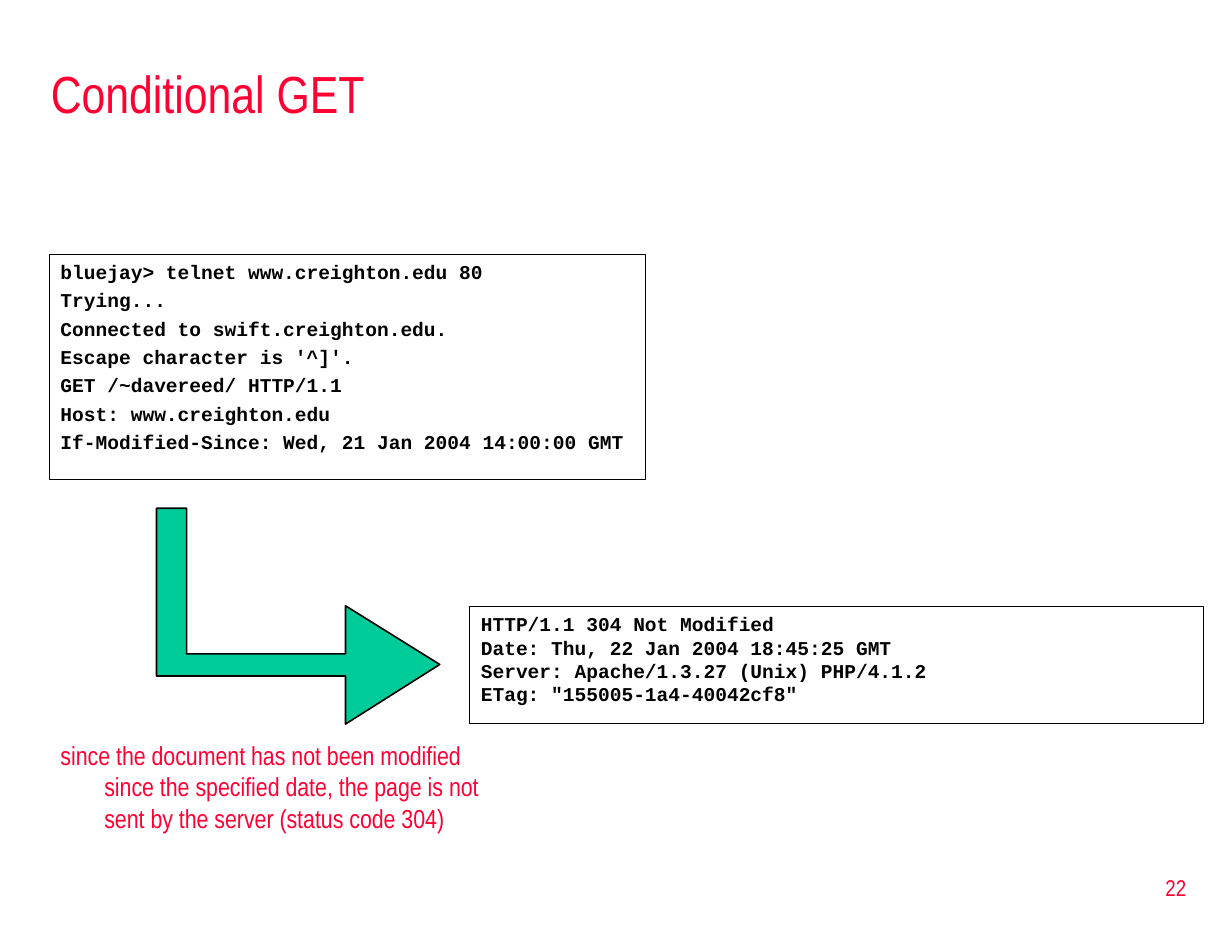
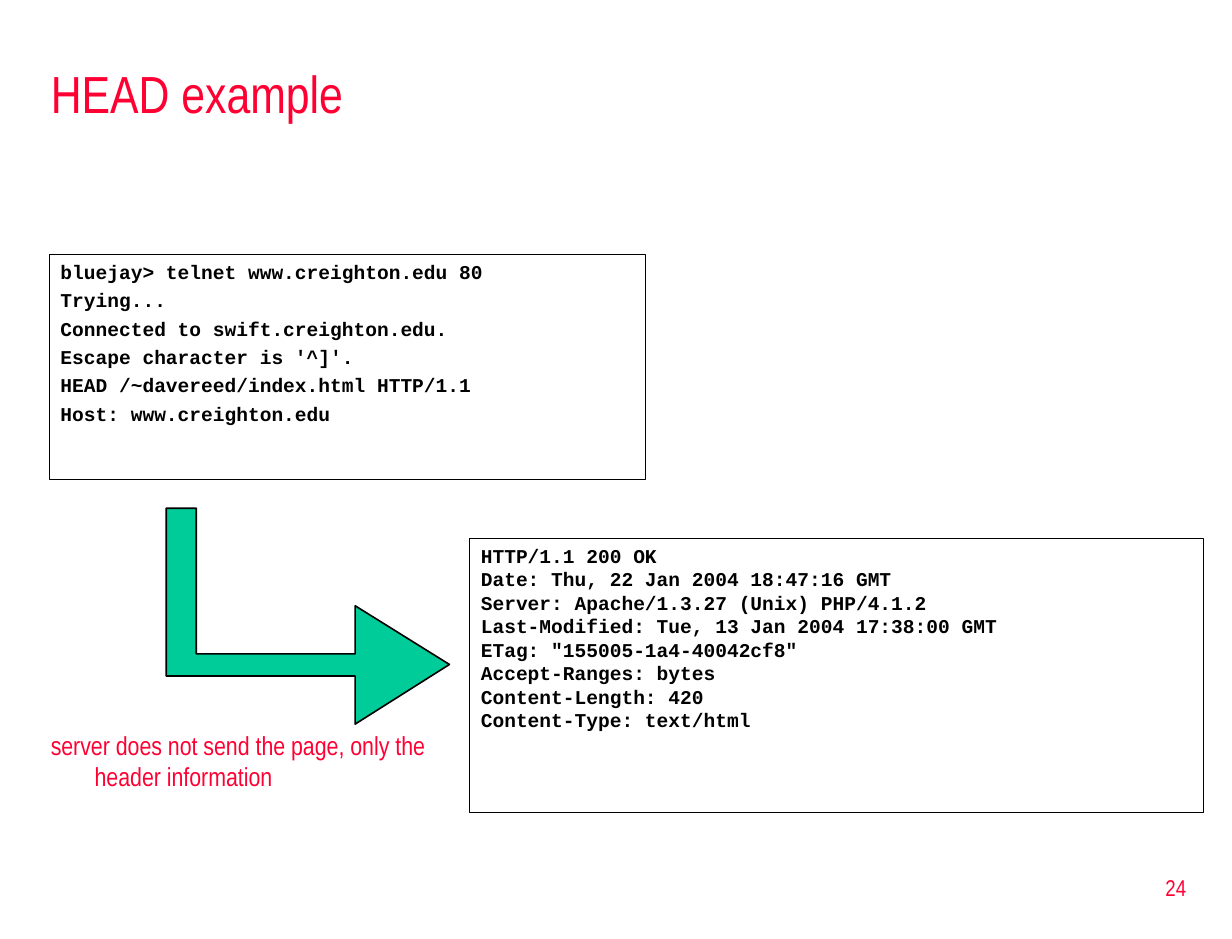
from pptx import Presentation
from pptx.dml.color import RGBColor
from pptx.enum.shapes import MSO_SHAPE as Shape
from pptx.enum.text import MSO_ANCHOR as Anchor, PP_ALIGN as Align
from pptx.util import Cm, Pt

COLORS = {"accent": "FF0033", "code": "000000", "line": "000000", "arrow": "00CC99"}
SANS, MONO = "Arial Narrow", "Courier New"
HANGING = Cm(0.95)
ARROW_TOP = 11
ARROW = [(0, 0), (0.65, 0), (0.65, 3.15), (4.09, 3.15), (4.09, 2.11),
         (6.13, 3.38), (4.09, 4.67), (4.09, 3.63), (0, 3.63)]

CONNECT = ["bluejay> telnet www.creighton.edu 80", "Trying...",
           "Connected to swift.creighton.edu.", "Escape character is '^]'."]
HOST = "Host: www.creighton.edu"
SERVER = "Server: Apache/1.3.27 (Unix) PHP/4.1.2"
ETAG = 'ETag: "155005-1a4-40042cf8"'

EXAMPLES = [
    {
        "title": "Conditional GET",
        "number": 22,
        "request": CONNECT + ["GET /~davereed/ HTTP/1.1", HOST,
                              "If-Modified-Since: Wed, 21 Jan 2004 14:00:00 GMT"],
        "response": ["HTTP/1.1 304 Not Modified",
                     "Date: Thu, 22 Jan 2004 18:45:25 GMT", SERVER, ETAG],
        "response_box": (10.16, 13.12, 15.88, 2.54),
        "arrow_left": 3.39,
        "caption": "since the document has not been modified since the specified date, "
                   "the page is not sent by the server (status code 304)",
        "caption_box": (1.06, 15.88, 10.37, 3.39),
    },
    {
        "title": "HEAD example",
        "number": 24,
        "request": CONNECT + ["HEAD /~davereed/index.html HTTP/1.1", HOST],
        "response": ["HTTP/1.1 200 OK", "Date: Thu, 22 Jan 2004 18:47:16 GMT", SERVER,
                     "Last-Modified: Tue, 13 Jan 2004 17:38:00 GMT", ETAG,
                     "Accept-Ranges: bytes", "Content-Length: 420",
                     "Content-Type: text/html"],
        "response_box": (10.16, 11.64, 15.88, 5.93),
        "arrow_left": 3.6,
        "caption": "server does not send the page, only the header information",
        "caption_box": (0.85, 15.66, 9.32, 1.91),
    },
]


def rgb(name):
    return RGBColor.from_string(COLORS[name])


def outline(s, width):
    s.shadow.inherit = False
    s.line.color.rgb = rgb("line")
    s.line.width = Pt(width)


def write(s, lines, size, font=SANS, color="accent", bold=False, gap=0,
          align=Align.LEFT, anchor=Anchor.TOP, hanging=False):
    tf = s.text_frame
    tf.word_wrap = True
    tf.vertical_anchor = anchor
    for i, line in enumerate(lines):
        p = tf.paragraphs[0] if i == 0 else tf.add_paragraph()
        p.text = line
        p.alignment = align
        p.space_before = Pt(gap if i else 0)
        if hanging:
            pPr = p._p.get_or_add_pPr()
            pPr.set("marL", str(HANGING))
            pPr.set("indent", str(-HANGING))
        p.font.name = font
        p.font.size = Pt(size)
        p.font.bold = bold
        p.font.color.rgb = rgb(color)


def add_text(slide, box, text, size, **style):
    s = slide.shapes.add_textbox(*map(Cm, box))
    write(s, [text], size, **style)


def add_code(slide, box, lines, gap=0):
    s = slide.shapes.add_shape(Shape.RECTANGLE, *map(Cm, box))
    s.fill.background()
    outline(s, 0.25)
    write(s, lines, 12, font=MONO, color="code", bold=True, gap=gap, hanging=True)


def add_arrow(slide, left):
    points = [(Cm(left + x), Cm(ARROW_TOP + y)) for x, y in ARROW]
    builder = slide.shapes.build_freeform(*points[0])
    builder.add_line_segments(points[1:], close=True)
    s = builder.convert_to_shape()
    s.fill.solid()
    s.fill.fore_color.rgb = rgb("arrow")
    outline(s, 1)


def add_example(prs, example):
    slide = prs.slides.add_slide(prs.slide_layouts[6])
    add_text(slide, (0.85, 1.06, 25.19, 1.91), example["title"], 32, anchor=Anchor.MIDDLE)
    add_code(slide, (1.06, 5.5, 12.91, 4.87), example["request"], gap=3)
    add_code(slide, example["response_box"], example["response"])
    add_arrow(slide, example["arrow_left"])
    add_text(slide, example["caption_box"], example["caption"], 16, hanging=True)
    add_text(slide, (20.37, 18.52, 5.56, 1.35), str(example["number"]), 14,
             align=Align.RIGHT, anchor=Anchor.MIDDLE)


def main():
    prs = Presentation()
    prs.slide_width, prs.slide_height = Cm(26.67), Cm(20.32)
    for example in EXAMPLES:
        add_example(prs, example)
    prs.save("out.pptx")


if __name__ == "__main__":
    main()
